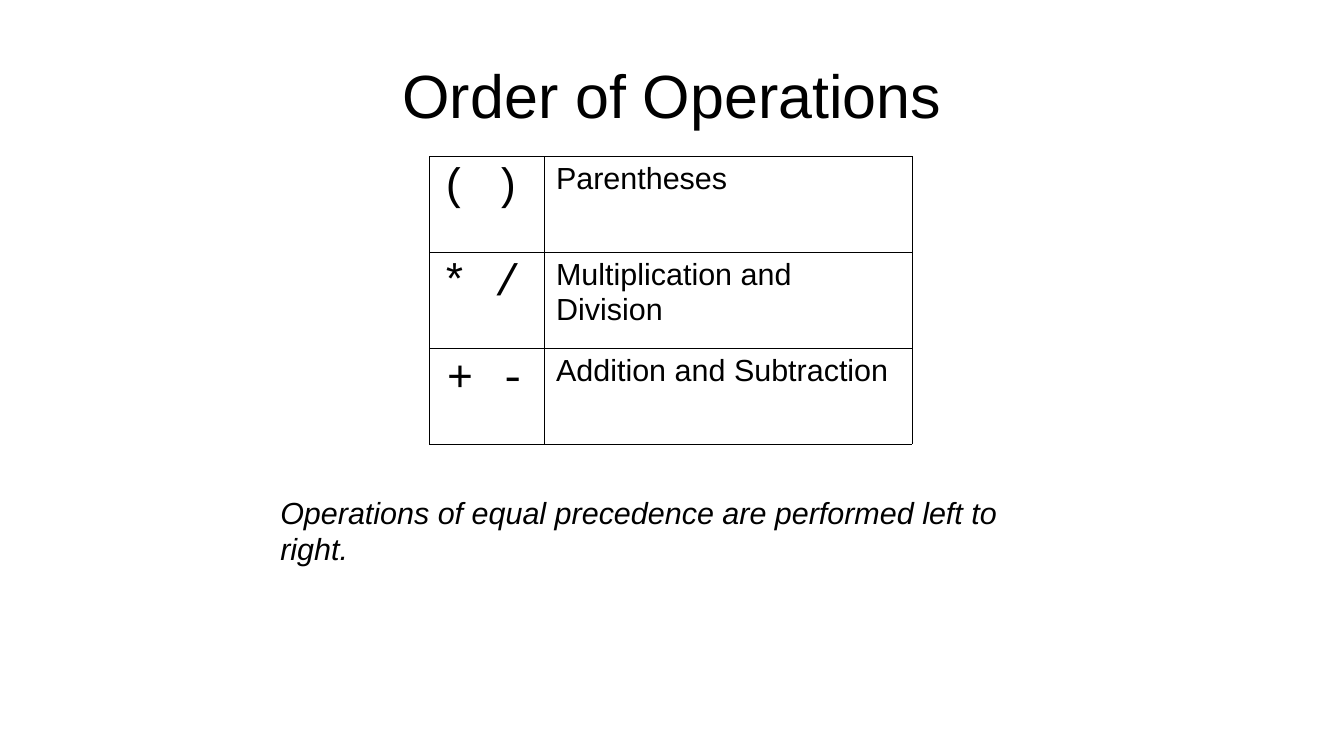
"""Build the Order of Operations slide with its precedence table."""
import dataclasses

import pptx
import pptx.dml.color
import pptx.enum.text
import pptx.oxml
import pptx.oxml.ns
import pptx.slide
import pptx.table
import pptx.text.text
import pptx.util

Pt = pptx.util.Pt
ALIGN = pptx.enum.text.PP_ALIGN
ANCHOR = pptx.enum.text.MSO_ANCHOR
COLORS = {"text": "000000", "line": "000000", "paper": "FFFFFF"}
COLUMN_WIDTHS = (67.7, 217.4)
ROW_HEIGHT = 56.7
BORDER_WIDTH = 0.06
PAD_X, PAD_Y = 7.2, 3.6


@dataclasses.dataclass(frozen=True)
class Style:
    font: str
    size: float
    italic: bool = False


@dataclasses.dataclass(frozen=True)
class Label:
    text: str
    box: tuple[float, float, float, float]
    style: Style
    align: ALIGN = ALIGN.LEFT
    anchor: ANCHOR = ANCHOR.TOP
    padding: tuple[float, float] = (PAD_X, PAD_Y)


@dataclasses.dataclass(frozen=True)
class Precedence:
    symbols: str
    meaning: str
    align: ALIGN = ALIGN.LEFT


SYMBOL = Style("Courier New", 26)
BODY = Style("Arial", 18)
LABELS = (
    Label("Order of Operations", (39.6, 18, 714.2, 74.9), Style("Arial", 36),
          ALIGN.CENTER, ANCHOR.MIDDLE, (0, 0)),
    Label("Operations of equal precedence are performed left to right.",
          (158.4, 288, 480, 27.4), Style("Arial", 18, italic=True)),
)
LEVELS = (
    Precedence("( )", "Parentheses"),
    Precedence("* /", "Multiplication and Division"),
    Precedence("+ -", "Addition and Subtraction", ALIGN.CENTER),
)


def rgb(name: str) -> pptx.dml.color.RGBColor:
    return pptx.dml.color.RGBColor.from_string(COLORS[name])


def write(tf: pptx.text.text.TextFrame, text: str, style: Style, align: ALIGN) -> None:
    p = tf.paragraphs[0]
    p.alignment = align
    r = p.add_run()
    r.text = text
    r.font.name = style.font
    r.font.size = Pt(style.size)
    r.font.italic = style.italic
    r.font.color.rgb = rgb("text")


def add_label(s: pptx.slide.Slide, label: Label) -> None:
    sp = s.shapes.add_textbox(*map(Pt, label.box))
    tf = sp.text_frame
    tf.word_wrap = True
    tf.vertical_anchor = label.anchor
    tf.margin_left = tf.margin_right = Pt(label.padding[0])
    tf.margin_top = tf.margin_bottom = Pt(label.padding[1])
    write(tf, label.text, label.style, label.align)


def fill_cell(cell: pptx.table._Cell, text: str, style: Style, align: ALIGN) -> None:
    cell.margin_left = cell.margin_right = Pt(PAD_X)
    cell.margin_top = cell.margin_bottom = Pt(PAD_Y)
    write(cell.text_frame, text, style, align)
    cell.fill.solid()
    cell.fill.fore_color.rgb = rgb("paper")
    props = cell._tc.get_or_add_tcPr()
    for i, side in enumerate("LRTB"):
        props.insert(i, pptx.oxml.parse_xml(
            f'<a:ln{side} {pptx.oxml.ns.nsdecls("a")} w="{Pt(BORDER_WIDTH)}">'
            f'<a:solidFill><a:srgbClr val="{COLORS["line"]}"/></a:solidFill></a:ln{side}>'))


def add_precedence_table(s: pptx.slide.Slide, left: float, top: float) -> None:
    sp = s.shapes.add_table(len(LEVELS), len(COLUMN_WIDTHS), Pt(left), Pt(top),
                            Pt(sum(COLUMN_WIDTHS)), Pt(ROW_HEIGHT * len(LEVELS)))
    table = sp.table
    table.first_row = table.horz_banding = False
    for column, width in zip(table.columns, COLUMN_WIDTHS):
        column.width = Pt(width)
    for i, level in enumerate(LEVELS):
        table.rows[i].height = Pt(ROW_HEIGHT)
        fill_cell(table.cell(i, 0), level.symbols, SYMBOL, level.align)
        fill_cell(table.cell(i, 1), level.meaning, BODY, ALIGN.LEFT)


def main() -> None:
    prs = pptx.Presentation()
    prs.slide_width, prs.slide_height = Pt(793.44), Pt(446.4)
    s = prs.slides.add_slide(prs.slide_layouts[6])
    title, note = LABELS
    add_label(s, title)
    add_precedence_table(s, 253.4, 92.2)
    add_label(s, note)
    prs.save("out.pptx")


if __name__ == "__main__":
    main()
